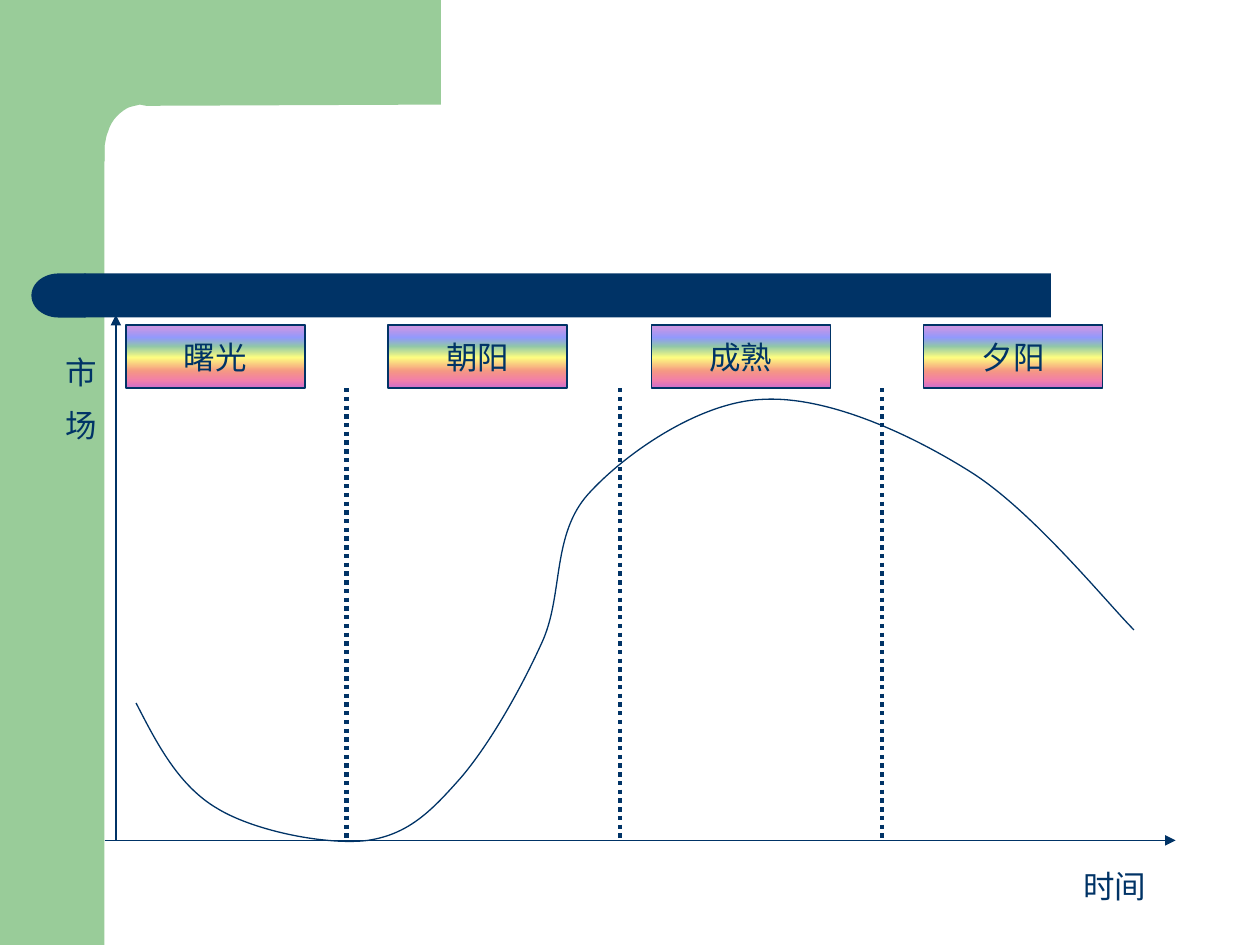
from lxml import etree
from pptx import Presentation
from pptx.dml.color import RGBColor
from pptx.enum.dml import MSO_LINE_DASH_STYLE as DASH
from pptx.enum.shapes import MSO_CONNECTOR, MSO_SHAPE as SHAPE
from pptx.enum.text import MSO_ANCHOR, MSO_AUTO_SIZE, PP_ALIGN
from pptx.oxml.ns import qn
from pptx.util import Inches, Pt

NAVY = RGBColor(0x00, 0x33, 0x66)
GREEN = RGBColor(0x99, 0xCC, 0x99)
# Position %, colour, opacity %
RAINBOW = [
    (0, "A603AB", 41), (21, "0819FB", 44), (35, "1A8D48", 47), (52, "FFFF00", 49),
    (73, "EE3F17", 53), (88, "E81766", 55), (100, "A603AB", 57),
]
# Phase name, left offset in the diagram
PHASES = [("曙光", 0.17), ("朝阳", 2.25), ("成熟", 4.34), ("夕阳", 6.5)]
DIVIDERS = [1.92, 4.09, 6.17]
# Path segments: one point is a straight line, three points are a curve
CORNER = [
    [(3, 0.83)], [(0.66, 0.84)], [(0.61, 0.83)], [(0.53, 0.85)],
    [(0.5, 0.86), (0.46, 0.89), (0.43, 0.92)],
    [(0.4, 0.95), (0.37, 1), (0.36, 1.04)],
    [(0.34, 1.08), (0.34, 1.12), (0.33, 1.16)],
    [(0.33, 1.28)], [(0, 1.28)], [(0, 0)],
]
MARKET_CURVE = [
    [(0.42, 3.41), (0.59, 3.74), (0.9, 3.92)],
    [(1.2, 4.1), (1.77, 4.21), (2.09, 4.17)],
    [(2.42, 4.12), (2.6, 3.93), (2.83, 3.67)],
    [(3.06, 3.4), (3.31, 2.96), (3.48, 2.58)],
    [(3.64, 2.21), (3.55, 1.74), (3.84, 1.42)],
    [(4.13, 1.1), (4.72, 0.69), (5.22, 0.67)],
    [(5.73, 0.64), (6.39, 0.94), (6.88, 1.25)],
    [(7.37, 1.56), (7.96, 2.29), (8.17, 2.5)],
]


def add_block(slide, kind, left, top, width, height, color):
    shape = slide.shapes.add_shape(
        kind, Inches(left), Inches(top), Inches(width), Inches(height))
    shape.shadow.inherit = False
    shape.fill.solid()
    shape.fill.fore_color.rgb = color
    shape.line.fill.background()
    return shape


def add_path(slide, left, top, start, segments, close):
    points = [(left + x, top + y) for segment in segments for x, y in segment]
    builder = slide.shapes.build_freeform(
        round((left + start[0]) * 100), round((top + start[1]) * 100), Inches(0.01))
    builder.add_line_segments([(round(x * 100), round(y * 100)) for x, y in points], close)
    shape = builder.convert_to_shape()
    shape.shadow.inherit = False
    # Merge the three points of each curve into one Bezier command
    lines = iter(list(shape._element.iter(qn("a:lnTo"))))
    for segment in segments:
        commands = [next(lines) for _ in segment]
        if len(commands) == 3:
            commands[0].tag = qn("a:cubicBezTo")
            for command in commands[1:]:
                commands[0].append(command[0])
                command.getparent().remove(command)
    return shape


def add_line(slide, x1, y1, x2, y2, width, arrow=False, dash=None):
    connector = slide.shapes.add_connector(
        MSO_CONNECTOR.STRAIGHT, Inches(x1), Inches(y1), Inches(x2), Inches(y2))
    connector.line.color.rgb = NAVY
    connector.line.width = Pt(width)
    if dash:
        connector.line.dash_style = dash
    if arrow:
        etree.SubElement(connector.line._get_or_add_ln(), qn("a:tailEnd"), type="triangle")
    etree.SubElement(connector._element.spPr, qn("a:effectLst"))


def style_paragraph(paragraph):
    paragraph.font.size = Pt(18)
    paragraph.font.name = "Arial"
    paragraph.font.color.rgb = NAVY


def add_label(slide, left, top, width, height, text):
    box = slide.shapes.add_textbox(
        Inches(left), Inches(top), Inches(width), Inches(height))
    frame = box.text_frame
    frame.word_wrap = True
    frame.auto_size = MSO_AUTO_SIZE.SHAPE_TO_FIT_TEXT
    frame.text = text
    for paragraph in frame.paragraphs:
        style_paragraph(paragraph)
        paragraph.space_before = Pt(9)


def add_phase(slide, left, top, width, height, name):
    shape = add_block(slide, SHAPE.RECTANGLE, left, top, width, height, NAVY)
    shape.line.color.rgb = NAVY
    shape.line.width = Pt(0.75)
    shape.fill.gradient()
    shape.fill.gradient_angle = 270
    stops = next(shape._element.iter(qn("a:gsLst")))
    for stop in list(stops):
        stops.remove(stop)
    for position, color, opacity in RAINBOW:
        stop = etree.SubElement(stops, qn("a:gs"), pos=str(position * 1000))
        rgb = etree.SubElement(stop, qn("a:srgbClr"), val=color)
        etree.SubElement(rgb, qn("a:alpha"), val=str(opacity * 1000))
    frame = shape.text_frame
    frame.word_wrap = False
    frame.vertical_anchor = MSO_ANCHOR.MIDDLE
    frame.text = name
    paragraph = frame.paragraphs[0]
    paragraph.alignment = PP_ALIGN.CENTER
    style_paragraph(paragraph)


def add_frame(slide, left, top, height):
    # Green side band and its rounded corner
    add_block(slide, SHAPE.RECTANGLE, left, top, 0.83, height, GREEN)
    corner = add_path(slide, left + 0.5, top, (3, 0), CORNER, True)
    corner.fill.solid()
    corner.fill.fore_color.rgb = GREEN
    corner.line.fill.background()


def add_title_bar(slide, left, top, width, height):
    cap = 0.43
    add_block(slide, SHAPE.RECTANGLE, left + cap - 0.01, top, width - cap + 0.01, height, NAVY)
    # The half-round cap points left
    end = add_block(slide, SHAPE.FLOWCHART_DELAY, left, top, cap, height, NAVY)
    end._element.spPr.get_or_add_xfrm().set("flipH", "1")


def add_life_cycle(slide, left, top, width, height):
    bottom = top + height
    # Axes
    add_line(slide, left + 0.09, bottom, left + 0.09, top, 0.75, arrow=True)
    add_line(slide, left, bottom, left + width, bottom, 0.75, arrow=True)
    # Phases and dividers
    for name, offset in PHASES:
        add_phase(slide, left + offset, top + 0.08, 1.42, 0.5, name)
    for offset in DIVIDERS:
        add_line(slide, left + offset, top + 0.58, left + offset, bottom, 2.5,
                 dash=DASH.ROUND_DOT)
    # Market curve
    curve = add_path(slide, left, top, (0.25, 3.08), MARKET_CURVE, False)
    curve.fill.background()
    curve.line.color.rgb = NAVY
    curve.line.width = Pt(0.75)
    # Axis labels
    add_label(slide, left - 0.41, top + 0.25, 0.5, 0.85, "市\n场")
    add_label(slide, left + width - 0.83, bottom + 0.16, 0.83, 0.4, "时间")


presentation = Presentation()
presentation.slide_width = Inches(10)
presentation.slide_height = Inches(7.5)
slide = presentation.slides.add_slide(presentation.slide_layouts[6])
add_frame(slide, 0, 0, 7.5)
add_title_bar(slide, 0.25, 2.17, 8.09, 0.35)
add_life_cycle(slide, 0.83, 2.5, 8.5, 4.17)
presentation.save("out.pptx")
